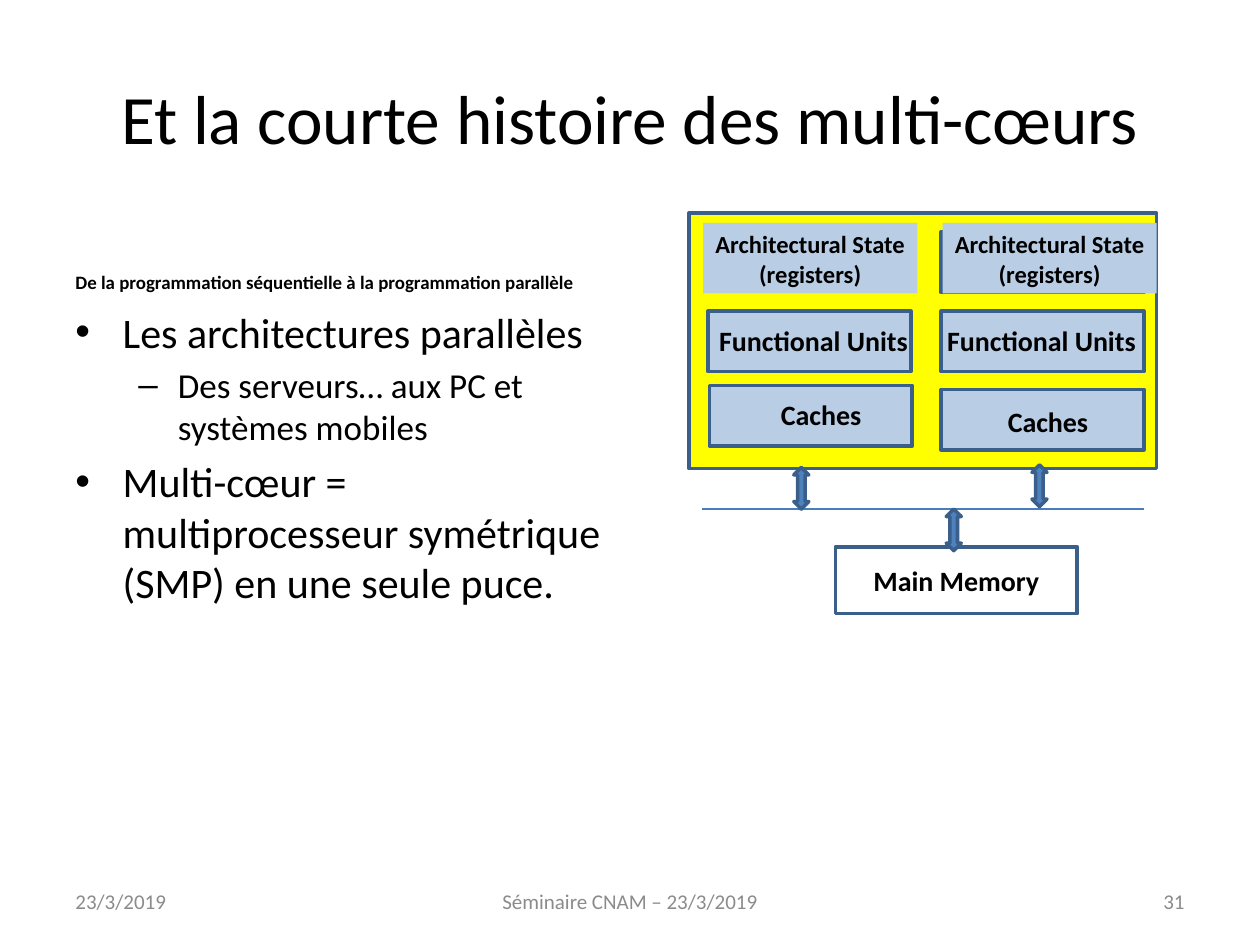
from dataclasses import dataclass

import pptx
import pptx.dml.color
import pptx.enum.shapes
import pptx.enum.text
import pptx.oxml
import pptx.oxml.ns
import pptx.util

Pt = pptx.util.Pt
SHAPE = pptx.enum.shapes.MSO_SHAPE
ALIGN = pptx.enum.text.PP_ALIGN
ANCHOR = pptx.enum.text.MSO_ANCHOR

COLOURS = {
    "text": "000000",
    "footer": "8B8B8B",
    "chip": "FFFF00",
    "unit": "B9CDE5",
    "accent": "4F81BD",
    "outline": "3A5F8B",
    "bus": "4A7EBB",
    "memory": "FFFFFF",
}
UNIT_WIDTH, UNIT_HEIGHT = 115.9, 34.6
ARROW_WIDTH, ARROW_HEIGHT = 8.6, 23.8
BUS_Y = 290.9


@dataclass(frozen=True)
class Box:
    left: float
    top: float
    width: float
    height: float

    def lengths(self) -> tuple:
        return tuple(Pt(v) for v in (self.left, self.top, self.width, self.height))


@dataclass(frozen=True)
class Bullet:
    text: str
    level: int = 0


@dataclass(frozen=True)
class Core:
    state_left: float
    functional_left: float
    caches_left: float
    caches_top: float
    functional_label_left: float
    caches_label: tuple[float, float]


BULLETS = [
    Bullet("Les architectures parallèles"),
    Bullet("Des serveurs… aux PC et systèmes mobiles", level=1),
    Bullet("Multi-cœur = multiprocesseur symétrique (SMP) en une seule puce."),
]
# Per level: character, size, left margin, first-line indent, space before
BULLET_STYLES = [("•", 24, 27, -27, 4.8), ("–", 20, 58.5, -22.5, 4)]

CORES = [
    Core(401.8, 404.6, 405.4, 220.3, 403.9, (439.2, 223.9)),
    Core(538.6, 537.8, 537.8, 222.5, 534.2, (568.8, 227.5)),
]


def rgb(name: str) -> pptx.dml.color.RGBColor:
    return pptx.dml.color.RGBColor.from_string(COLOURS[name])


def write(shape, lines: list[str], *, size: float, colour: str = "text",
          bold: bool = False, align=ALIGN.LEFT, anchor=ANCHOR.TOP,
          wrap: bool = True, before: float = 0) -> None:
    frame = shape.text_frame
    frame.word_wrap = wrap
    frame.vertical_anchor = anchor
    for index, line in enumerate(lines):
        paragraph = frame.paragraphs[0] if index == 0 else frame.add_paragraph()
        paragraph.alignment = align
        paragraph.space_before = Pt(before)
        run = paragraph.add_run()
        run.text = line
        run.font.name = "Calibri"
        run.font.size = Pt(size)
        run.font.bold = bold
        run.font.color.rgb = rgb(colour)


def add_text(slide, box: Box, text: str, **style) -> None:
    write(slide.shapes.add_textbox(*box.lengths()), [text], **style)


def add_block(slide, box: Box, fill: str, *, kind=SHAPE.RECTANGLE, outlined: bool = True):
    block = slide.shapes.add_shape(kind, *box.lengths())
    block.shadow.inherit = False
    block.fill.solid()
    block.fill.fore_color.rgb = rgb(fill)
    if outlined:
        block.line.color.rgb = rgb("outline")
        block.line.width = Pt(2)
    else:
        block.line.fill.background()
    return block


def add_unit(slide, left: float, top: float, fill: str = "unit") -> None:
    add_block(slide, Box(left, top, UNIT_WIDTH, UNIT_HEIGHT), fill)


def add_bullets(slide, box: Box, bullets: list[Bullet]) -> None:
    body = slide.shapes.add_textbox(*box.lengths())
    write(body, [bullet.text for bullet in bullets], size=24)
    for bullet, paragraph in zip(bullets, body.text_frame.paragraphs):
        mark, size, margin, indent, before = BULLET_STYLES[bullet.level]
        paragraph.level = bullet.level
        paragraph.space_before = Pt(before)
        paragraph.runs[0].font.size = Pt(size)
        properties = paragraph._p.get_or_add_pPr()
        properties.set("marL", str(Pt(margin)))
        properties.set("indent", str(Pt(indent)))
        namespace = pptx.oxml.ns.nsdecls("a")
        for xml in (f'<a:buFont {namespace} typeface="Arial"/>',
                    f'<a:buChar {namespace} char="{mark}"/>'):
            properties.append(pptx.oxml.parse_xml(xml))


def add_core(slide, core: Core) -> None:
    state = add_block(slide, Box(core.state_left, 127.4, 122.4, 40.3), "unit", outlined=False)
    write(state, ["Architectural State", "(registers)"], size=14, bold=True,
          align=ALIGN.CENTER, wrap=False)
    add_unit(slide, core.functional_left, 177.8)
    add_text(slide, Box(core.functional_label_left, 181.4, 122.4, 25.9),
             "Functional Units", size=16, bold=True, wrap=False)
    add_unit(slide, core.caches_left, core.caches_top)
    add_text(slide, Box(*core.caches_label, 60.5, 25.9),
             "Caches", size=16, bold=True, wrap=False)


def add_bus(slide) -> None:
    bus = slide.shapes.add_connector(pptx.enum.shapes.MSO_CONNECTOR.STRAIGHT,
                                     Pt(401), Pt(BUS_Y), Pt(653.8), Pt(BUS_Y))
    bus.line.color.rgb = rgb("bus")
    bus.line.width = Pt(0.75)
    bus._element.spPr.append(
        pptx.oxml.parse_xml(f'<a:effectLst {pptx.oxml.ns.nsdecls("a")}/>'))


def main() -> None:
    deck = pptx.Presentation()
    deck.slide_width, deck.slide_height = Pt(720), Pt(540)
    slide = deck.slides.add_slide(deck.slide_layouts[6])

    # Title and text column
    add_text(slide, Box(36, 21.6, 648, 90), "Et la courte histoire des multi-cœurs",
             size=39.6, align=ALIGN.CENTER, anchor=ANCHOR.MIDDLE)
    add_text(slide, Box(36, 121, 318.2, 50.4),
             "De la programmation séquentielle à la programmation parallèle",
             size=10.8, bold=True, anchor=ANCHOR.BOTTOM, before=4.8)
    add_bullets(slide, Box(36, 171.4, 318.2, 311), BULLETS)

    # Chip with two cores; a darker unit edges out behind the right-hand state
    add_block(slide, Box(393.8, 121.7, 267.1, 146.2), "chip")
    add_unit(slide, 537.8, 132.5, "accent")
    for core in CORES:
        add_core(slide, core)

    # Main memory, bus and the arrows joining them to the cores
    memory = add_block(slide, Box(477.4, 312.5, 138.2, 38.2), "memory")
    write(memory, ["Main Memory"], size=16, bold=True,
          align=ALIGN.CENTER, anchor=ANCHOR.MIDDLE)
    add_bus(slide)
    for left, top in ((453.6, 267.1), (589.7, 265.7), (540.7, BUS_Y)):
        add_block(slide, Box(left, top, ARROW_WIDTH, ARROW_HEIGHT), "accent",
                  kind=SHAPE.UP_DOWN_ARROW)

    # Footer
    for left, width, text, align in (
        (36, 168, "23/3/2019", ALIGN.LEFT),
        (246, 228, "Séminaire CNAM – 23/3/2019", ALIGN.CENTER),
        (516, 168, "31", ALIGN.RIGHT),
    ):
        add_text(slide, Box(left, 500.5, width, 28.75), text, size=12,
                 colour="footer", align=align, anchor=ANCHOR.MIDDLE)

    deck.save("out.pptx")


if __name__ == "__main__":
    main()
